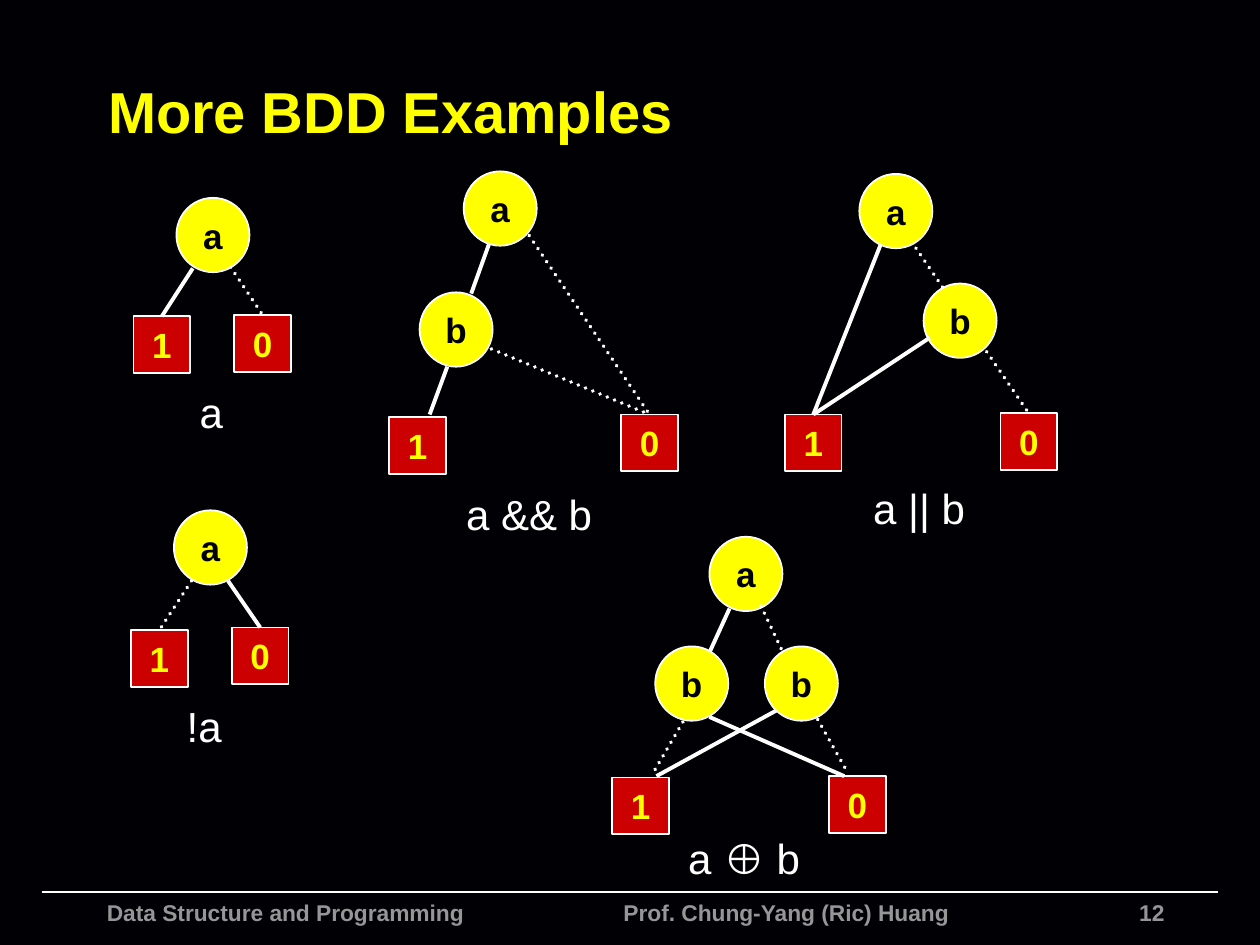
from lxml.etree import SubElement
from pptx import Presentation
from pptx.dml.color import RGBColor
from pptx.enum.dml import MSO_LINE
from pptx.enum.shapes import MSO_CONNECTOR, MSO_SHAPE
from pptx.enum.text import MSO_ANCHOR, MSO_AUTO_SIZE, PP_ALIGN
from pptx.oxml.ns import qn
from pptx.util import Cm, Pt

CM_PER_INCH = 2.54
CIRCLE = (0.58, 0.59)
SQUARE = (0.45, 0.45)
LABEL_HEIGHT = 0.5
JOIN_REACH = 0.05

TITLE = "More BDD Examples"
COURSE, TEACHER, PAGE = "Data Structure and Programming", "Prof. Chung-Yang (Ric) Huang", "12"

DIAGRAMS = [
    {"label": ("a || b", 6.88, 3.78, 0.83),
     "leaves": [("1", 6.23, 3.29), ("0", 7.94, 3.28)],
     "parts": [("solid", 6.99, 1.94, 6.49, 3.29), ("a", 6.82, 1.38),
               ("dotted", 7.27, 1.97, 8.16, 3.32), ("b", 7.33, 2.25),
               ("solid", 7.38, 2.68, 6.49, 3.28)]},
    {"label": ("a && b", 3.61, 3.83, 1.14),
     "leaves": [("1", 3.09, 3.31), ("0", 4.93, 3.29)],
     "parts": [("a", 3.68, 1.36), ("b", 3.33, 2.32),
               ("solid", 3.88, 1.94, 3.74, 2.33), ("solid", 3.55, 2.91, 3.41, 3.29),
               ("dotted", 4.2, 1.87, 5.13, 3.29), ("dotted", 3.9, 2.77, 5.11, 3.31)]},
    {"label": ("a", 1.53, 3.02, 0.29),
     "leaves": [("1", 1.06, 2.51), ("0", 1.86, 2.5)],
     "parts": [("a", 1.4, 1.57), ("solid", 1.53, 2.13, 1.32, 2.49),
               ("dotted", 1.83, 2.12, 2.07, 2.48)]},
    {"label": ("!a", 1.43, 5.51, 0.38),
     "leaves": [("1", 1.04, 5), ("0", 1.84, 4.98)],
     "parts": [("a", 1.38, 4.05), ("dotted", 1.52, 4.61, 1.31, 4.98),
               ("solid", 1.81, 4.61, 2.05, 4.96)]},
    {"label": ("a ⊕ b", 5.41, 6.56, 0.99),
     "leaves": [("1", 4.86, 6.17), ("0", 6.58, 6.16)],
     "parts": [("solid", 5.79, 4.83, 5.63, 5.18), ("a", 5.63, 4.26),
               ("dotted", 6.04, 4.81, 6.21, 5.17), ("b", 6.07, 5.13),
               ("solid", 6.16, 5.64, 5.21, 6.16), ("b", 5.2, 5.13),
               ("dotted", 5.42, 5.73, 5.18, 6.14), ("solid", 5.63, 5.69, 6.7, 6.16),
               ("dotted", 6.49, 5.71, 6.71, 6.1)]},
]


def color(value):
    return RGBColor.from_string(value)


def cm(*inches):
    return [Cm(value * CM_PER_INCH) for value in inches]


def write(holder, text, size=24, ink="FFFFFF", bold=False, align=PP_ALIGN.LEFT,
          anchor=MSO_ANCHOR.TOP, inset=0.05, wrap=True, tab=None):
    frame = holder.text_frame
    frame.word_wrap = wrap
    if not wrap:
        frame.auto_size = MSO_AUTO_SIZE.SHAPE_TO_FIT_TEXT
    frame.vertical_anchor = anchor
    frame.margin_left, frame.margin_right = cm(inset, inset)
    frame.margin_top, frame.margin_bottom = cm(0.05, 0.05)
    paragraph = frame.paragraphs[0]
    paragraph.alignment = align
    if tab:
        stops = SubElement(paragraph._p.get_or_add_pPr(), qn("a:tabLst"))
        SubElement(stops, qn("a:tab"), pos=str(cm(tab)[0]), algn="l")
    run = paragraph.add_run()
    run.text = text
    run.font.name, run.font.size, run.font.bold = "Arial", Pt(size), bold
    run.font.color.rgb = color(ink)


def add_line(shapes, x1, y1, x2, y2, width=2.25, dotted=False):
    line = shapes.add_connector(MSO_CONNECTOR.STRAIGHT, *cm(x1, y1, x2, y2))
    line.line.color.rgb = color("FFFFFF")
    line.line.width = Pt(width)
    if dotted:
        line.line.dash_style = MSO_LINE.ROUND_DOT
        line._element.spPr.find(qn("a:ln")).set("cap", "rnd")
    SubElement(line._element.spPr, qn("a:effectLst"))
    return line


def add_node(shapes, preset, text, x, y, size, fill, ink):
    node = shapes.add_shape(preset, *cm(x, y, *size))
    node.shadow.inherit = False
    node.fill.solid()
    node.fill.fore_color.rgb = color(fill)
    node.line.color.rgb = color("FFFFFF")
    node.line.width = Pt(1)
    write(node, text, size=20, ink=ink, bold=True, align=PP_ALIGN.CENTER,
          anchor=MSO_ANCHOR.MIDDLE)
    return node


def add_edge(shapes, style, ends, leaves):
    edge = add_line(shapes, *ends, dotted=style == "dotted")
    for leaf, x, y in leaves:
        gap_x = abs(x + SQUARE[0] / 2 - ends[2])
        gap_y = abs(y - ends[3])
        if max(gap_x, gap_y) < JOIN_REACH:
            edge.end_connect(leaf, 0)


def add_diagram(slide, diagram):
    shapes = slide.shapes.add_group_shape().shapes
    text, x, y, width = diagram["label"]
    write(shapes.add_textbox(*cm(x, y, width, LABEL_HEIGHT)), text,
          align=PP_ALIGN.RIGHT, wrap=False)
    leaves = [(add_node(shapes, MSO_SHAPE.RECTANGLE, value, x, y, SQUARE, "CC0000", "FFFF00"), x, y)
              for value, x, y in diagram["leaves"]]
    for kind, *place in diagram["parts"]:
        if kind in ("solid", "dotted"):
            add_edge(shapes, kind, place, leaves)
        else:
            add_node(shapes, MSO_SHAPE.OVAL, kind, *place, CIRCLE, "FFFF00", "000000")


def main():
    deck = Presentation()
    deck.slide_width, deck.slide_height = cm(10, 7.5)
    slide = deck.slides.add_slide(deck.slide_layouts[6])
    slide.background.fill.solid()
    slide.background.fill.fore_color.rgb = color("010004")

    add_line(slide.shapes, 0.33, 7.08, 9.67, 7.08, width=1)
    footer = {"size": 13, "ink": "969696", "bold": True, "inset": 0.1}
    write(slide.shapes.add_textbox(*cm(6.17, 7.08, 3.17, 0.18)), PAGE,
          align=PP_ALIGN.RIGHT, **footer)
    write(slide.shapes.add_textbox(*cm(0.75, 7.08, 7.24, 0.42)), f"{COURSE}\t{TEACHER}",
          tab=4.1, **footer)
    write(slide.shapes.add_textbox(*cm(0.76, 0.37, 8.84, 1.01)), TITLE, size=33,
          ink="FFFF00", bold=True, anchor=MSO_ANCHOR.MIDDLE, inset=0.1)
    for diagram in DIAGRAMS:
        add_diagram(slide, diagram)
    deck.save("out.pptx")


if __name__ == "__main__":
    main()
